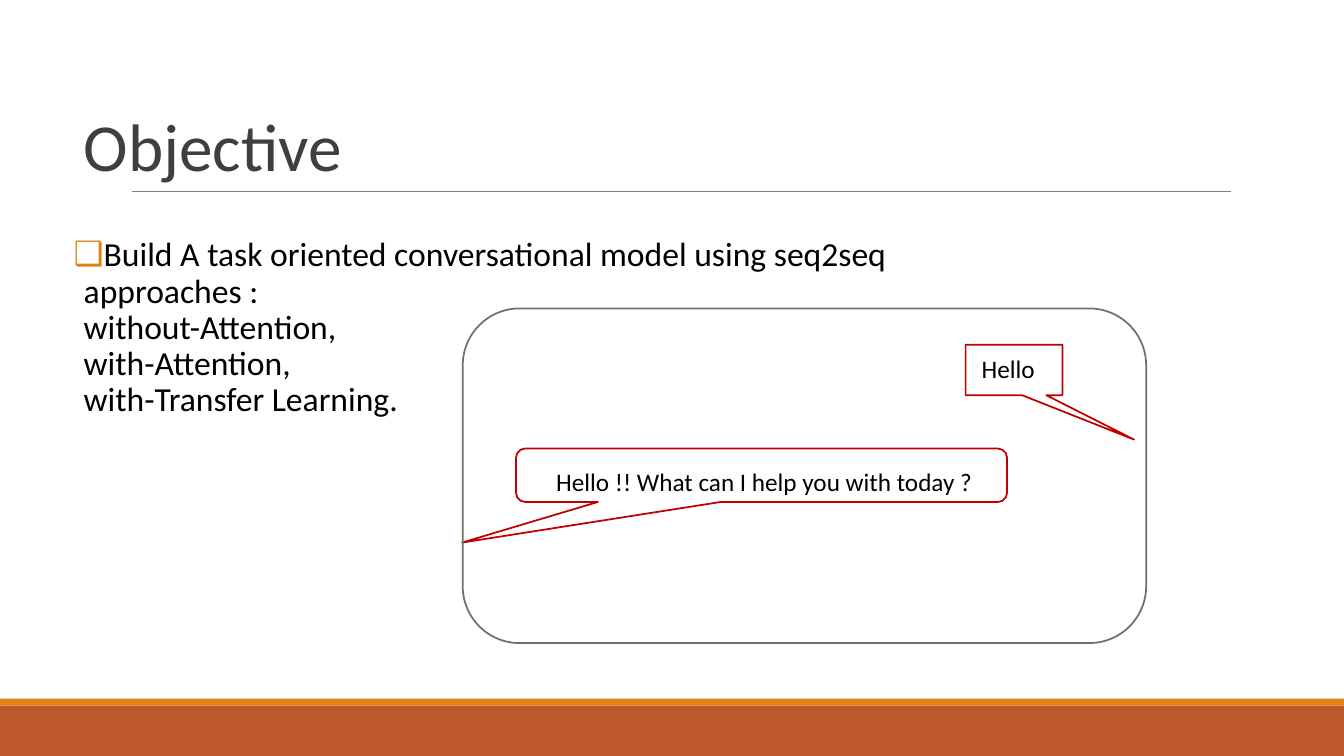
from pptx import Presentation, util as u
from pptx.dml.color import RGBColor
from pptx.enum import shapes, text
from pptx.oxml import parse_xml
from pptx.oxml.ns import nsdecls, qn
from lxml import etree

FONT = "Calibri"
RUST = RGBColor(0xBD, 0x58, 0x2C)
ORANGE = RGBColor(0xE4, 0x83, 0x12)
GRAY = RGBColor(0x7F, 0x7F, 0x7F)
CHARCOAL = RGBColor(0x3F, 0x3F, 0x3F)
BLACK = RGBColor(0, 0, 0)
RED = RGBColor(0xC0, 0, 0)
SAGE = RGBColor(0x6C, 0x74, 0x63)
KIND = shapes.MSO_SHAPE

# Places are left, top, width and height in percent of the slide.
TITLE = ("Objective", (5.48, 12.27, 77.18, 12.93))
RULE = (9.83, 25.33, 91.58)
BODY_PLACE = (5.48, 30.8, 73.35, 67.47)
BODY = [
    "Build A task oriented conversational model using seq2seq approaches :",
    "without-Attention,",
    "with-Attention,",
    "with-Transfer Learning.",
]
BARS = [
    ((0, 93.33, 100, 6.67), RUST),
    ((0, 92.4, 100, 0.93), ORANGE),
]
MESSAGES = [
    ("Hello", KIND.RECTANGULAR_CALLOUT, (71.85, 45.6, 7.2, 6.67),
     (1.24, 1.38), (72.3, 46.13, 17.25, 5.33)),
    ("Hello !! What can I help you with today ?",
     KIND.ROUNDED_RECTANGULAR_CALLOUT, (38.4, 59.33, 36.53, 7.07),
     (-0.61, 1.26, 0.17), (40.65, 61.07, 57.83, 5.33)),
]
CHAT_PANEL = (34.43, 40.8, 50.85, 44.27)

deck = Presentation()
deck.slide_width, deck.slide_height = u.Inches(13.33), u.Inches(7.5)
page = deck.slides.add_slide(deck.slide_layouts[5])


def across(share):
    return round(deck.slide_width * share / 100)


def down(share):
    return round(deck.slide_height * share / 100)


def box_of(place):
    left, top, width, height = place
    return across(left), down(top), across(width), down(height)


def add_figure(kind, place, fill=None, line=None, adjustments=()):
    figure = page.shapes.add_shape(kind, *box_of(place))
    figure.shadow.inherit = False
    for index, value in enumerate(adjustments):
        figure.adjustments[index] = value
    if fill is None:
        figure.fill.background()
    else:
        figure.fill.solid()
        figure.fill.fore_color.rgb = fill
    if line is None:
        figure.line.fill.background()
    else:
        figure.line.color.rgb = line
        figure.line.width = u.Pt(1.25)


def write(box, lines, size, color, spacing=1.0):
    frame = box.text_frame
    frame.word_wrap = True
    frame.text = "\n".join(lines)
    for para in frame.paragraphs:
        para.alignment = text.PP_ALIGN.LEFT
        para.line_spacing = spacing
        for span in para.runs:
            span.font.name = FONT
            span.font.size = u.Pt(size)
            span.font.color.rgb = color
    return frame


def add_text(place, lines, size, spacing=1.0):
    box = page.shapes.add_textbox(*box_of(place))
    return write(box, lines, size, BLACK, spacing)


for place, color in BARS:
    add_figure(KIND.RECTANGLE, place, fill=color)

start, level, end = RULE
rule = page.shapes.add_connector(
    shapes.MSO_CONNECTOR.STRAIGHT,
    across(start), down(level), across(end), down(level))
rule.line.color.rgb = GRAY
rule.line.width = u.Pt(0.75)
etree.SubElement(rule.element.spPr, qn("a:effectLst"))

heading, place = TITLE
title = page.shapes.title
title.left, title.top, title.width, title.height = box_of(place)
frame = write(title, [heading], 48, CHARCOAL, 0.85)
frame.vertical_anchor = text.MSO_ANCHOR.BOTTOM
frame.auto_size = text.MSO_AUTO_SIZE.NONE

frame = add_text(BODY_PLACE, BODY, 24, 0.9)
frame.margin_left, frame.margin_right = 0, u.Inches(0.3)
for para in frame.paragraphs:
    properties = para._p.get_or_add_pPr()
    properties.set("marL", str(u.Inches(0.1)))
    properties.set("indent", "0")
properties = frame.paragraphs[0]._p.get_or_add_pPr()
properties.set("indent", str(u.Inches(-0.17)))
for bullet in (
    f'<a:buClr {nsdecls("a")}><a:srgbClr val="{ORANGE}"/></a:buClr>',
    f'<a:buFont {nsdecls("a")} typeface="{FONT}"/>',
    f'<a:buChar {nsdecls("a")} char="❑"/>',
):
    properties.append(parse_xml(bullet))

for words, kind, place, pointer, words_place in MESSAGES:
    add_figure(kind, place, line=RED, adjustments=pointer)
    add_text(words_place, [words], 18)

add_figure(KIND.ROUNDED_RECTANGLE, CHAT_PANEL, line=SAGE, adjustments=(0.17,))

deck.save("out.pptx")
